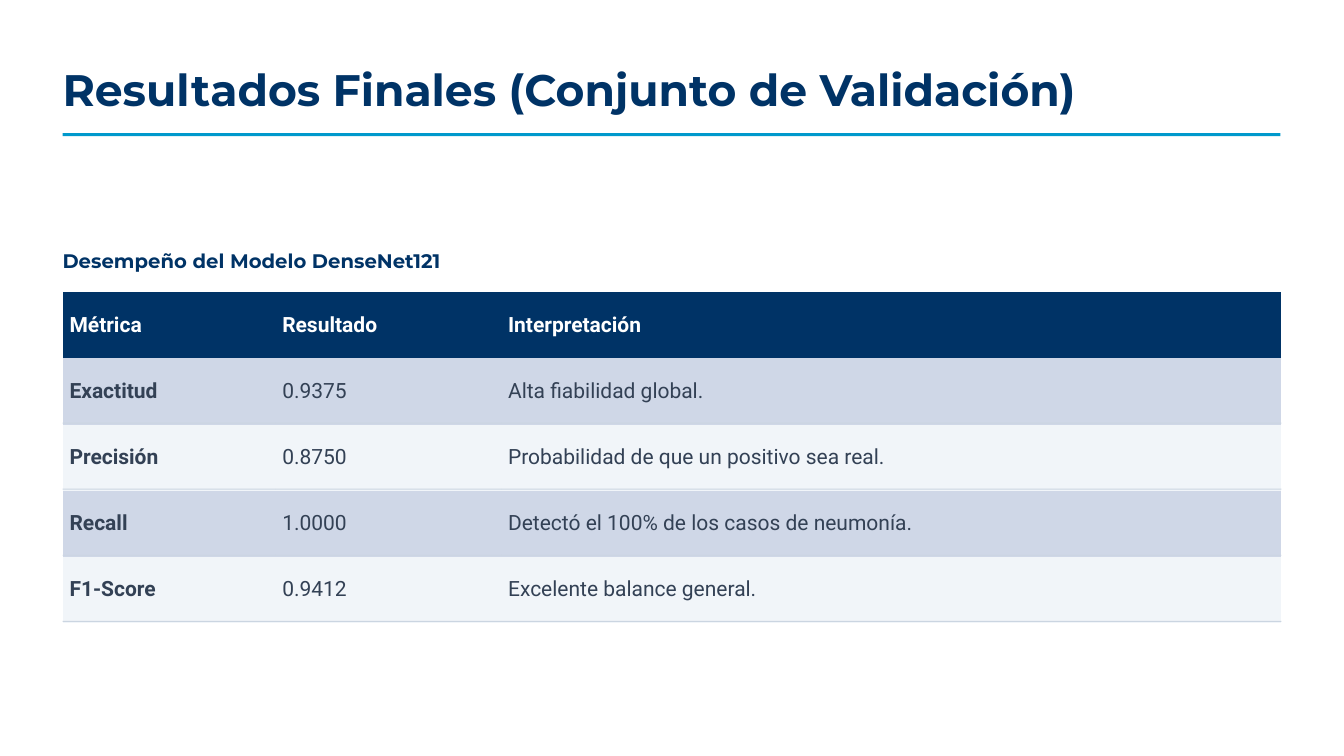
from pptx import Presentation
from pptx.dml.color import RGBColor
from pptx.enum.shapes import MSO_SHAPE as Shape
from pptx.enum.text import MSO_ANCHOR as Anchor, MSO_AUTO_SIZE as AutoSize, PP_ALIGN as Align
from pptx.oxml.ns import qn
from pptx.util import Inches, Pt

# Content
TITLE = "Resultados Finales (Conjunto de Validación)"
SUBTITLE = "Desempeño del Modelo DenseNet121"
ROWS = [
    ("Métrica", "Resultado", "Interpretación"),
    ("Exactitud", "0.9375", "Alta fiabilidad global."),
    ("Precisión", "0.8750", "Probabilidad de que un positivo sea real."),
    ("Recall", "1.0000", "Detectó el 100% de los casos de neumonía."),
    ("F1-Score", "0.9412", "Excelente balance general."),
]

# Look and layout, in inches
NAVY, BLUE, SLATE, WHITE, RULE = "003366", "0099CC", "334155", "FFFFFF", "CBD5E1"
BANDS = ("F1F5F9", "CFD7E7")
NO_STYLE = "{2D5ABB26-0587-4C30-8999-92F81FD0307C}"
LEFT, WIDTH, TEXT_WIDTH = 0.62, 12.08, 12.69
COLUMNS = (2.11, 2.24, 7.74)
TABLE_TOP, TABLE_HEIGHT = 2.9, 3.28
ROW_HEIGHT = TABLE_HEIGHT / len(ROWS)


def color(value):
    return RGBColor.from_string(value)


def add_span(para, text, font, size, ink, bold):
    span = para.add_run()
    span.text = text
    span.font.name, span.font.size, span.font.bold = font, Pt(size), bold
    span.font.color.rgb = color(ink)


def fill_heading(box, text, top, height, size):
    box.left, box.top = Inches(LEFT), Inches(top)
    box.width, box.height = Inches(TEXT_WIDTH), Inches(height)
    frame = box.text_frame
    frame.word_wrap, frame.auto_size = True, AutoSize.NONE
    frame.vertical_anchor = Anchor.TOP
    frame.margin_left = frame.margin_right = frame.margin_top = frame.margin_bottom = 0
    para = frame.paragraphs[0]
    para.alignment = Align.LEFT
    add_span(para, text, "Montserrat", size, NAVY, True)


def add_bar(page, left, top, width, height, fill):
    bar = page.shapes.add_shape(Shape.RECTANGLE, Inches(left), Inches(top),
                                Inches(width), Inches(height))
    bar.shadow.inherit = False
    bar.fill.solid()
    bar.fill.fore_color.rgb = color(fill)
    bar.line.fill.background()


def add_results(page):
    frame = page.shapes.add_table(len(ROWS), len(COLUMNS), Inches(LEFT), Inches(TABLE_TOP),
                                  Inches(sum(COLUMNS)), Inches(TABLE_HEIGHT))
    table = frame.table
    table._tbl.tblPr.find(qn("a:tableStyleId")).text = NO_STYLE
    for column, width in zip(table.columns, COLUMNS):
        column.width = Inches(width)
    for r, texts in enumerate(ROWS):
        header = r == 0
        for c, text in enumerate(texts):
            cell = table.cell(r, c)
            cell.fill.solid()
            cell.fill.fore_color.rgb = color(NAVY if header else BANDS[r % 2])
            cell.vertical_anchor = Anchor.MIDDLE
            cell.margin_left = cell.margin_right = Inches(0.07)
            cell.margin_top = cell.margin_bottom = Inches(0.03)
            add_span(cell.text_frame.paragraphs[0], text, "Roboto", 15,
                     WHITE if header else SLATE, header or c == 0)


def main():
    deck = Presentation()
    deck.slide_width, deck.slide_height = Inches(13.33), Inches(7.5)
    page = deck.slides.add_slide(deck.slide_layouts[5])

    # Title with its underline, then the table heading
    fill_heading(page.shapes.title, TITLE, 0.62, 0.53, 31.5)
    add_bar(page, LEFT, 1.32, WIDTH, 0.03, BLUE)
    fill_heading(page.shapes.add_textbox(0, 0, 0, 0), SUBTITLE, 2.47, 0.24, 14)

    # Table with a thin rule at the foot of each body cell
    add_results(page)
    for r in range(1, len(ROWS)):
        foot = TABLE_TOP + (r + 1) * ROW_HEIGHT - 0.02
        for c, width in enumerate(COLUMNS):
            add_bar(page, LEFT + sum(COLUMNS[:c]), foot, width, 0.01, RULE)

    deck.save("out.pptx")


if __name__ == "__main__":
    main()
